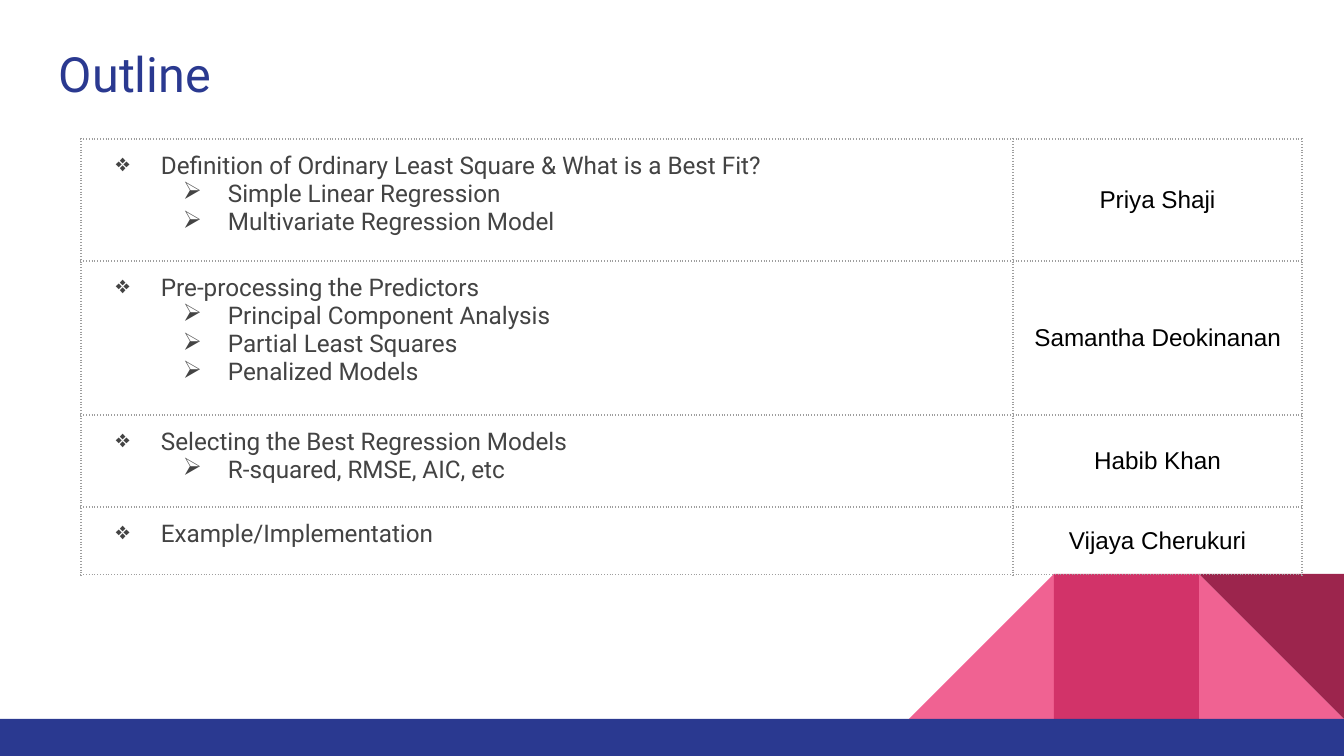
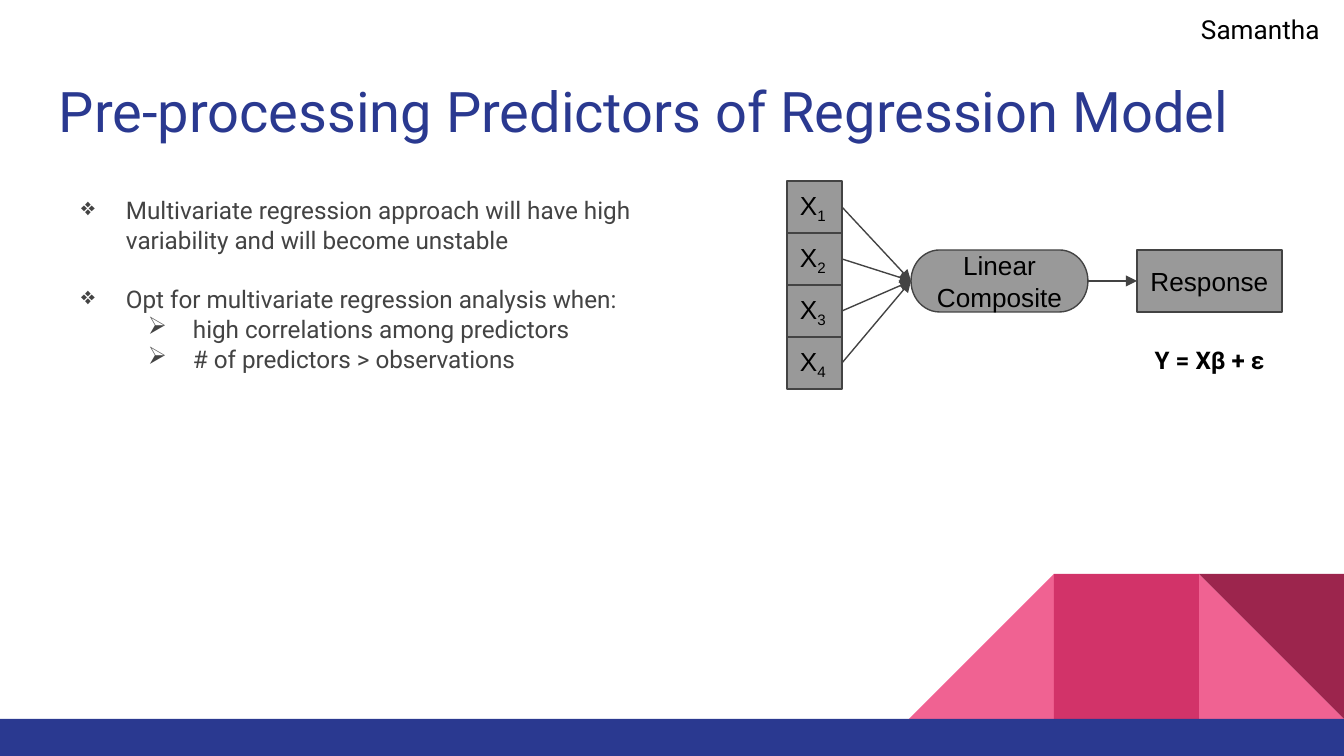
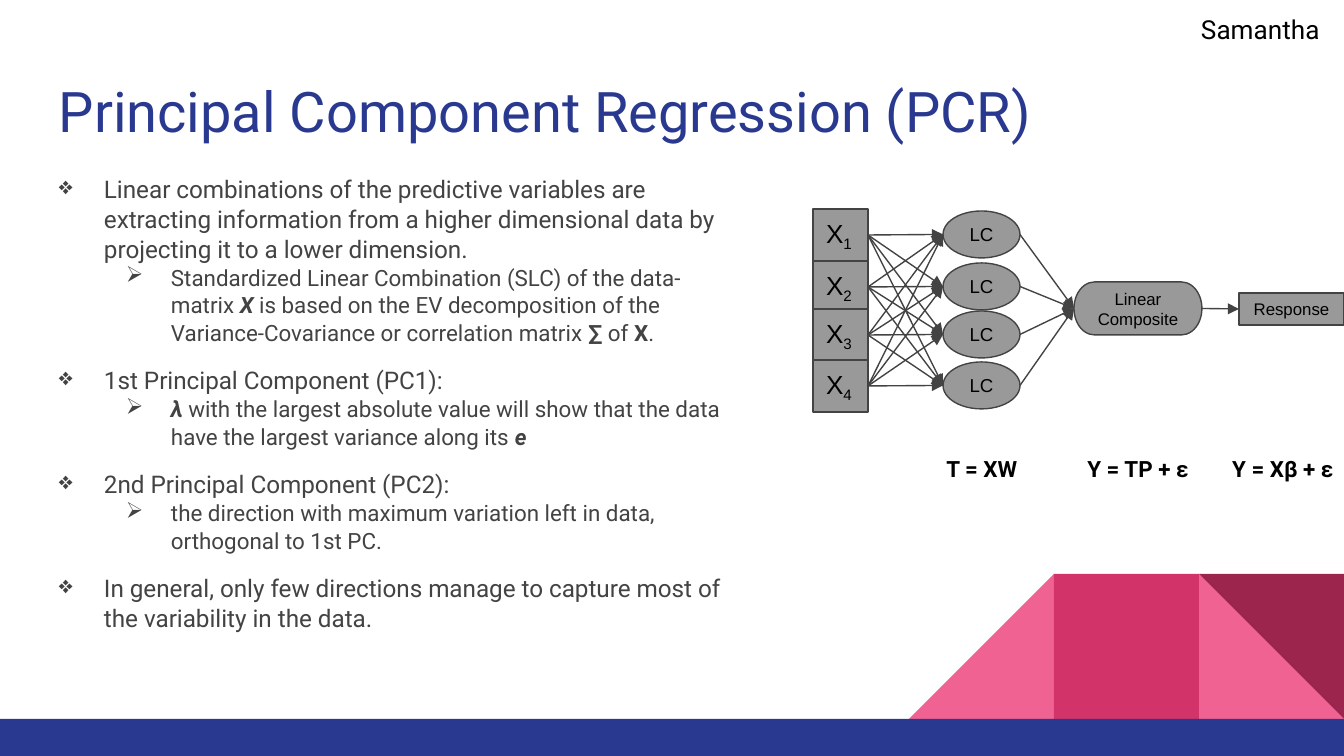
from dataclasses import dataclass
from itertools import product

from lxml.etree import SubElement
from pptx import Presentation
from pptx.dml.color import RGBColor
from pptx.enum.shapes import MSO_CONNECTOR as Connector, MSO_SHAPE as Shape
from pptx.enum.text import MSO_ANCHOR as Anchor, PP_ALIGN as Align
from pptx.oxml import parse_xml
from pptx.oxml.ns import nsdecls, qn
from pptx.util import Emu, Pt

EMU_PER_PX = 914400 / 134.4


def px(length):
    return Emu(round(length * EMU_PER_PX))


def rgb(code):
    return RGBColor.from_string(code)


@dataclass(frozen=True)
class Theme:
    # Colours
    navy: str = "2A3990"
    pink: str = "F06292"
    rose: str = "D23369"
    wine: str = "9C254D"
    grey: str = "999999"
    dark: str = "434343"
    black: str = "000000"
    dots: str = "9E9E9E"
    # Fonts and type sizes
    text_font: str = "Roboto"
    label_font: str = "Arial"
    outline_title: int = 26
    title: int = 30
    label: int = 14
    body: int = 13
    detail: int = 12
    lobe: int = 10
    small: int = 9
    # Lines, insets and bullets
    line: float = 0.75
    inset: int = 13
    bullets: tuple = ("❖", "➢")
    indents: tuple = (67, 134)
    hanging: int = 45


class Deck:
    def __init__(self, theme):
        self.theme = theme
        self.file = Presentation()
        self.file.slide_width, self.file.slide_height = px(1344), px(756)
        self.slide = None

    def new_slide(self):
        self.slide = self.file.slides.add_slide(self.file.slide_layouts[6])
        self.decoration()

    def decoration(self):
        t, left, top, side = self.theme, 909, 574, 145
        mid, right = left + side, left + 2 * side
        self.shape(Shape.RIGHT_TRIANGLE, (right, top, side, side), t.pink)
        ramp = self.shape(Shape.RIGHT_TRIANGLE, (left, top, side, side), t.pink)
        ramp._element.spPr.xfrm.set("flipH", "1")
        self.shape(Shape.RECTANGLE, (mid, top, side, side), t.rose)
        corner = self.shape(Shape.RIGHT_TRIANGLE, (right, top, side, side), t.wine)
        corner.rotation = 180
        self.shape(Shape.RECTANGLE, (0, 719, 1344, 37), t.navy)

    def shape(self, kind, box, fill, line=None):
        shape = self.slide.shapes.add_shape(kind, *map(px, box))
        shape.shadow.inherit = False
        shape.fill.solid()
        shape.fill.fore_color.rgb = rgb(fill)
        if line:
            shape.line.color.rgb = rgb(line)
            shape.line.width = Pt(self.theme.line)
        else:
            shape.line.fill.background()
        return shape

    def frame(self, frame):
        frame.word_wrap = True
        frame.margin_left = frame.margin_right = px(self.theme.inset)
        frame.margin_top = frame.margin_bottom = px(self.theme.inset)
        return frame

    def runs(self, paragraph, content, size, color, font):
        """Content is a string or (text, marks) pairs; marks: b, i, s (subscript)."""
        for text, marks in [(content, "")] if isinstance(content, str) else content:
            run = paragraph.add_run()
            run.text = text
            run.font.size, run.font.name = Pt(size), font
            run.font.color.rgb = rgb(color)
            run.font.bold, run.font.italic = "b" in marks, "i" in marks
            if "s" in marks:
                run.font._element.set("baseline", "-25000")

    def text(self, box, content, size, color, align=Align.LEFT, spacing=1.0):
        frame = self.frame(self.slide.shapes.add_textbox(*map(px, box)).text_frame)
        paragraph = frame.paragraphs[0]
        paragraph.alignment, paragraph.line_spacing = align, spacing
        self.runs(paragraph, content, size, color, self.theme.text_font)

    def title(self, text, top=60, height=89, size=None):
        self.text((46, top, 1252, height), text, size or self.theme.title,
                  self.theme.navy, spacing=1.06)

    def presenter(self, name):
        self.text((1188, 0, 156, 39), name, self.theme.label, self.theme.black)

    def formula(self, box, text, size):
        self.text(box, [(text, "b")], size, self.theme.black, Align.CENTER)

    def bullets(self, frame, items, sizes, gap=0, spacing=1.0):
        """Items are (level, content); the gap in points precedes later top items."""
        t = self.theme
        for index, (level, content) in enumerate(items):
            paragraph = frame.add_paragraph() if index else frame.paragraphs[0]
            paragraph.level, paragraph.line_spacing = level, spacing
            if index and level == 0:
                paragraph.space_before = Pt(gap)
            props = paragraph._p.get_or_add_pPr()
            props.set("marL", str(px(t.indents[level])))
            props.set("indent", str(px(-t.hanging)))
            color = SubElement(props, qn("a:buClr"))
            SubElement(color, qn("a:srgbClr")).set("val", t.dark)
            SubElement(props, qn("a:buChar")).set("char", t.bullets[level])
            self.runs(paragraph, content, sizes[level], t.dark, t.text_font)

    def body(self, box, items, sizes, gap):
        frame = self.frame(self.slide.shapes.add_textbox(*map(px, box)).text_frame)
        self.bullets(frame, items, sizes, gap, spacing=1.03)

    def node(self, kind, box, content, size, align=Align.CENTER):
        t = self.theme
        node = self.shape(kind, box, t.grey, t.dark)
        frame = self.frame(node.text_frame)
        frame.vertical_anchor = Anchor.MIDDLE
        frame.paragraphs[0].alignment = align
        self.runs(frame.paragraphs[0], content, size, t.black, t.label_font)
        return node

    def predictors(self, left, tops):
        return [self.node(Shape.RECTANGLE, (left, top, 55, 52),
                          [("X", ""), (str(number), "s")], self.theme.label, Align.LEFT)
                for number, top in enumerate(tops, 1)]

    def arrow(self, source, target):
        arrow = self.slide.shapes.add_connector(
            Connector.STRAIGHT,
            source.left + source.width, source.top + source.height // 2,
            target.left, target.top + target.height // 2)
        arrow.line.color.rgb = rgb(self.theme.dark)
        arrow.line.width = Pt(self.theme.line)
        SubElement(arrow.line._get_or_add_ln(), qn("a:tailEnd")).set("type", "triangle")
        SubElement(arrow._element.spPr, qn("a:effectLst"))

    def arrows(self, sources, targets):
        for source, target in product(sources, targets):
            self.arrow(source, target)

    def dotted_borders(self, cell):
        t, props = self.theme, cell._tc.get_or_add_tcPr()
        for place, side in enumerate("LRTB"):
            props.insert(place, parse_xml(
                f'<a:ln{side} {nsdecls("a")} w="{Pt(t.line)}"><a:solidFill>'
                f'<a:srgbClr val="{t.dots}"/></a:solidFill>'
                f'<a:prstDash val="dot"/></a:ln{side}>'))

    def agenda(self, left, top, widths, rows):
        """Rows are (height, topics, speaker)."""
        t = self.theme
        heights = [row[0] for row in rows]
        table = self.slide.shapes.add_table(
            len(rows), 2, px(left), px(top), px(sum(widths)), px(sum(heights))).table
        table.first_row = table.horz_banding = False
        for column, width in zip(table.columns, widths):
            column.width = px(width)
        for index, (height, topics, speaker) in enumerate(rows):
            table.rows[index].height = px(height)
            topic_cell, speaker_cell = table.rows[index].cells
            for cell in (topic_cell, speaker_cell):
                cell.fill.background()
                cell.margin_left = cell.margin_right = px(t.inset)
                cell.margin_top = cell.margin_bottom = px(t.inset)
                self.dotted_borders(cell)
            self.bullets(topic_cell.text_frame, topics, (t.body, t.body))
            speaker_cell.vertical_anchor = Anchor.MIDDLE
            paragraph = speaker_cell.text_frame.paragraphs[0]
            paragraph.alignment = Align.CENTER
            self.runs(paragraph, speaker, t.body, t.black, t.label_font)


def outline(deck):
    deck.new_slide()
    deck.title("Outline", top=28, height=67, size=deck.theme.outline_title)
    deck.agenda(81, 139, (932, 289), [
        (122, [(0, "Definition of Ordinary Least Square & What is a Best Fit?"),
               (1, "Simple Linear Regression"),
               (1, "Multivariate Regression Model")], "Priya Shaji"),
        (154, [(0, "Pre-processing the Predictors"),
               (1, "Principal Component Analysis"),
               (1, "Partial Least Squares"),
               (1, "Penalized Models")], "Samantha Deokinanan"),
        (92, [(0, "Selecting the Best Regression Models"),
              (1, "R-squared, RMSE, AIC, etc")], "Habib Khan"),
        (68, [(0, "Example/Implementation")], "Vijaya Cherukuri"),
    ])


def preprocessing(deck):
    t = deck.theme
    deck.new_slide()
    deck.title("Pre-processing Predictors of Regression Model")
    deck.body((46, 181, 626, 538), [
        (0, "Multivariate regression approach will have high variability "
            "and will become unstable"),
        (0, "Opt for multivariate regression analysis when:"),
        (1, "high correlations among predictors"),
        (1, "# of predictors > observations"),
    ], (t.body, t.body), gap=15.5)
    deck.presenter("Samantha")

    # Predictors feed one composite, which gives the response
    predictors = deck.predictors(787, range(181, 338, 52))
    composite = deck.node(Shape.FLOWCHART_TERMINATOR, (911, 250, 177, 62),
                          "Linear Composite", t.label)
    response = deck.node(Shape.RECTANGLE, (1137, 250, 145, 62), "Response", t.label)
    deck.arrows(predictors, [composite])
    deck.arrow(composite, response)
    deck.formula((1137, 332, 145, 52), "Y = Xβ + ε", t.body)


def component_regression(deck):
    t = deck.theme
    deck.new_slide()
    deck.title("Principal Component Regression (PCR)")
    deck.body((24, 160, 712, 554), [
        (0, "Linear combinations of the predictive variables are extracting information "
            "from a higher dimensional data by projecting it to a lower dimension."),
        (1, [("Standardized Linear Combination (SLC) of the data-matrix ", ""),
             ("X", "bi"),
             (" is based on the EV decomposition of the Variance-Covariance "
              "or correlation matrix ", ""),
             ("∑", "b"), (" of ", ""), ("X", "b"), (".", "")]),
        (0, "1st Principal Component (PC1):"),
        (1, [("λ", "bi"),
             (" with the largest absolute value will show that the data have "
              "the largest variance along its ", ""),
             ("e", "bi")]),
        (0, "2nd Principal Component (PC2):"),
        (1, "the direction with maximum variation left in data, orthogonal to 1st PC."),
        (0, "In general, only few directions manage to capture most of the variability "
            "in the data."),
    ], (t.body, t.detail), gap=10)
    deck.presenter("Samantha")

    # Every predictor feeds every linear combination
    tops = (209, 261, 309, 360)
    predictors = deck.predictors(813, tops)
    combinations = [deck.node(Shape.FLOWCHART_CONNECTOR, (943, top + 2, 77, 47),
                              "LC", t.lobe) for top in tops]
    composite = deck.node(Shape.FLOWCHART_TERMINATOR, (1074, 282, 128, 53),
                          "Linear Composite", t.small)
    response = deck.node(Shape.RECTANGLE, (1239, 293, 105, 32), "Response", t.small)
    deck.arrows(predictors, combinations)
    deck.arrows(combinations, [composite])
    deck.arrow(composite, response)

    # Formula under each stage
    for left, width, text in ((925, 114, "T = XW"), (1064, 148, "Y = TP + ε"),
                              (1201, 164, "Y = Xβ + ε")):
        deck.formula((left, 442, width, 52), text, t.detail)


def main():
    deck = Deck(Theme())
    outline(deck)
    preprocessing(deck)
    component_regression(deck)
    deck.file.save("out.pptx")


if __name__ == "__main__":
    main()
